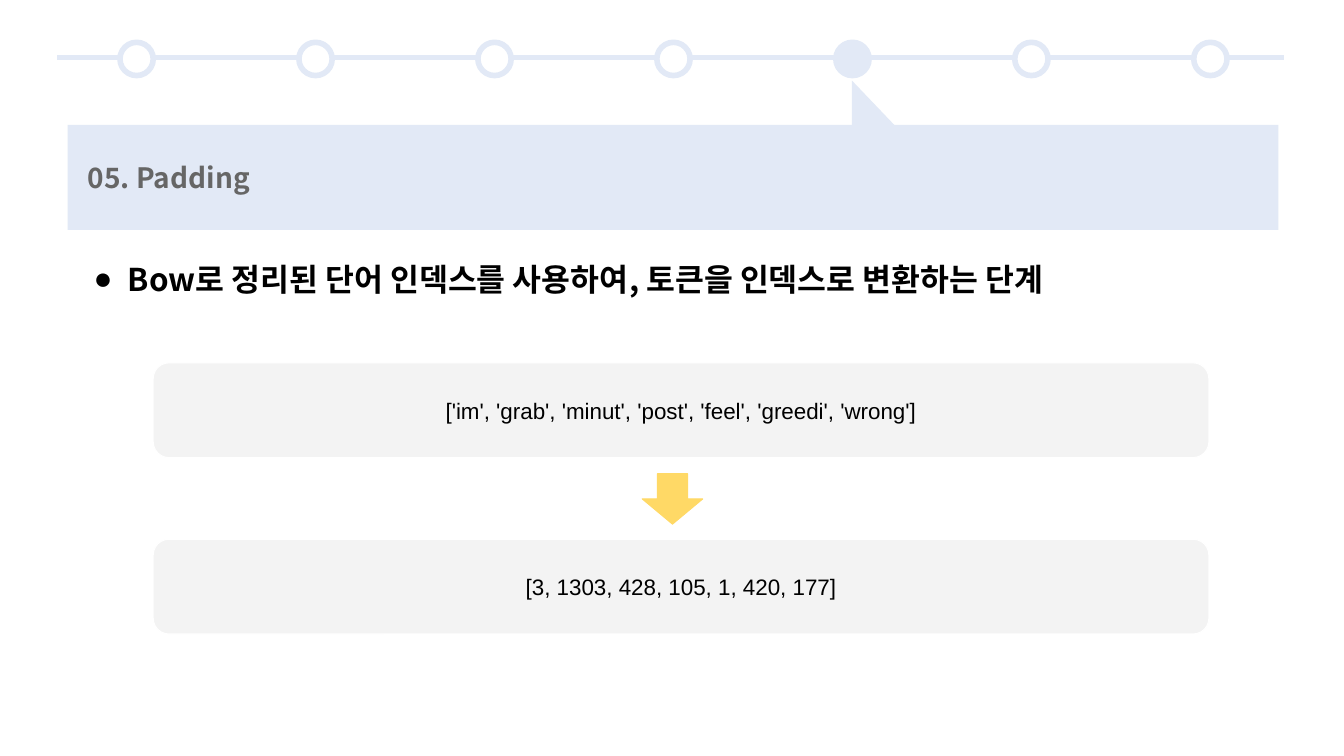
from dataclasses import dataclass
from typing import Optional

from lxml import etree
from pptx import Presentation
from pptx import util as u
from pptx.dml.color import RGBColor
from pptx.enum import shapes, text
from pptx.oxml import ns

COLORS = {
    "rail": "E2E9F6", "white": "FFFFFF", "title": "666666",
    "black": "000000", "card": "F3F3F3", "arrow": "FFD966",
}
SANS = "Noto Sans CJK KR"
KINDS = shapes.MSO_SHAPE


@dataclass
class Box:
    kind: int
    left: float
    top: float
    width: float
    height: float
    fill: str
    line: Optional[str] = None
    weight: float = 0.75


@dataclass
class Style:
    font: str
    size: float
    color: str
    bold: bool = False


def rgb(name: str) -> RGBColor:
    return RGBColor.from_string(COLORS[name])


def draw(slide, box: Box):
    shape = slide.shapes.add_shape(
        box.kind, u.Inches(box.left), u.Inches(box.top),
        u.Inches(box.width), u.Inches(box.height))
    shape.shadow.inherit = False
    shape.fill.solid()
    shape.fill.fore_color.rgb = rgb(box.fill)
    if box.line:
        shape.line.color.rgb = rgb(box.line)
        shape.line.width = u.Pt(box.weight)
    else:
        shape.line.fill.background()
    return shape


def write(shape, words: str, style: Style, align, anchor, left: float = 0.1):
    frame = shape.text_frame
    frame.word_wrap = True
    frame.vertical_anchor = anchor
    frame.margin_left = u.Inches(left)
    frame.margin_right = u.Inches(0.1)
    frame.margin_top = frame.margin_bottom = u.Inches(0.05)
    para = frame.paragraphs[0]
    para.alignment = align
    run = para.add_run()
    run.text = words
    font = run.font
    font.name, font.size, font.bold = style.font, u.Pt(style.size), style.bold
    font.color.rgb = rgb(style.color)
    # East Asian letters use the same font
    face = etree.SubElement(font._element, ns.qn("a:ea"))
    face.set("typeface", style.font)
    return para


def add_bullet(para, mark: str, color: str) -> None:
    props = para._p.get_or_add_pPr()
    props.set("marL", str(u.Inches(0.5)))
    props.set("indent", str(u.Inches(-0.34)))
    tint = etree.SubElement(props, ns.qn("a:buClr"))
    etree.SubElement(tint, ns.qn("a:srgbClr")).set("val", COLORS[color])
    etree.SubElement(props, ns.qn("a:buFont")).set("typeface", "Arial")
    etree.SubElement(props, ns.qn("a:buChar")).set("char", mark)


def add_rail(slide, count: int, active: int) -> None:
    y = u.Inches(0.57)
    rail = slide.shapes.add_connector(
        shapes.MSO_CONNECTOR.STRAIGHT, u.Inches(0.57), y, u.Inches(12.73), y)
    rail.line.color.rgb = rgb("rail")
    rail.line.width = u.Pt(4)
    etree.SubElement(rail._element.spPr, ns.qn("a:effectLst"))
    first, last = 1.19, 11.84
    step = (last - first) / (count - 1)
    for i in range(count):
        fill = "rail" if i == active else "white"
        draw(slide, Box(KINDS.FLOWCHART_CONNECTOR, first + i * step, 0.42,
                        0.33, 0.33, fill, "rail", 4))


def main() -> None:
    deck = Presentation()
    deck.slide_width, deck.slide_height = u.Inches(13.33), u.Inches(7.5)
    slide = deck.slides.add_slide(deck.slide_layouts[6])
    left, center = text.PP_ALIGN.LEFT, text.PP_ALIGN.CENTER
    top, middle = text.MSO_ANCHOR.TOP, text.MSO_ANCHOR.MIDDLE

    # Progress rail and title banner
    add_rail(slide, count=7, active=4)
    draw(slide, Box(KINDS.RIGHT_TRIANGLE, 8.45, 0.8, 0.42, 0.44, "rail"))
    banner = draw(slide, Box(KINDS.RECTANGLE, 0.67, 1.24, 12.01, 1.04, "rail"))
    write(banner, "05. Padding", Style(SANS, 20, "title", True),
          left, middle, 0.2)

    # Key point
    point = slide.shapes.add_textbox(
        u.Inches(0.67), u.Inches(2.57), u.Inches(12.06), u.Inches(0.5))
    para = write(point, "Bow로 정리된 단어 인덱스를 사용하여, 토큰을 인덱스로 변환하는 단계",
                 Style(SANS, 22.4, "black", True), left, top)
    add_bullet(para, "●", "black")
    para.line_spacing = 0.9

    # Tokens turned into indexes
    cards = ["['im', 'grab', 'minut', 'post', 'feel', 'greedi', 'wrong']",
             "[3, 1303, 428, 105, 1, 420, 177]"]
    for i, words in enumerate(cards):
        card = draw(slide, Box(KINDS.ROUNDED_RECTANGLE, 1.52, 3.6 + i * 1.75,
                               10.47, 0.94, "card", "white"))
        write(card, words, Style("Arial", 16, "black"), center, middle)
    draw(slide, Box(KINDS.DOWN_ARROW, 6.37, 4.7, 0.6, 0.5, "arrow", "arrow"))

    deck.save("out.pptx")


if __name__ == "__main__":
    main()
